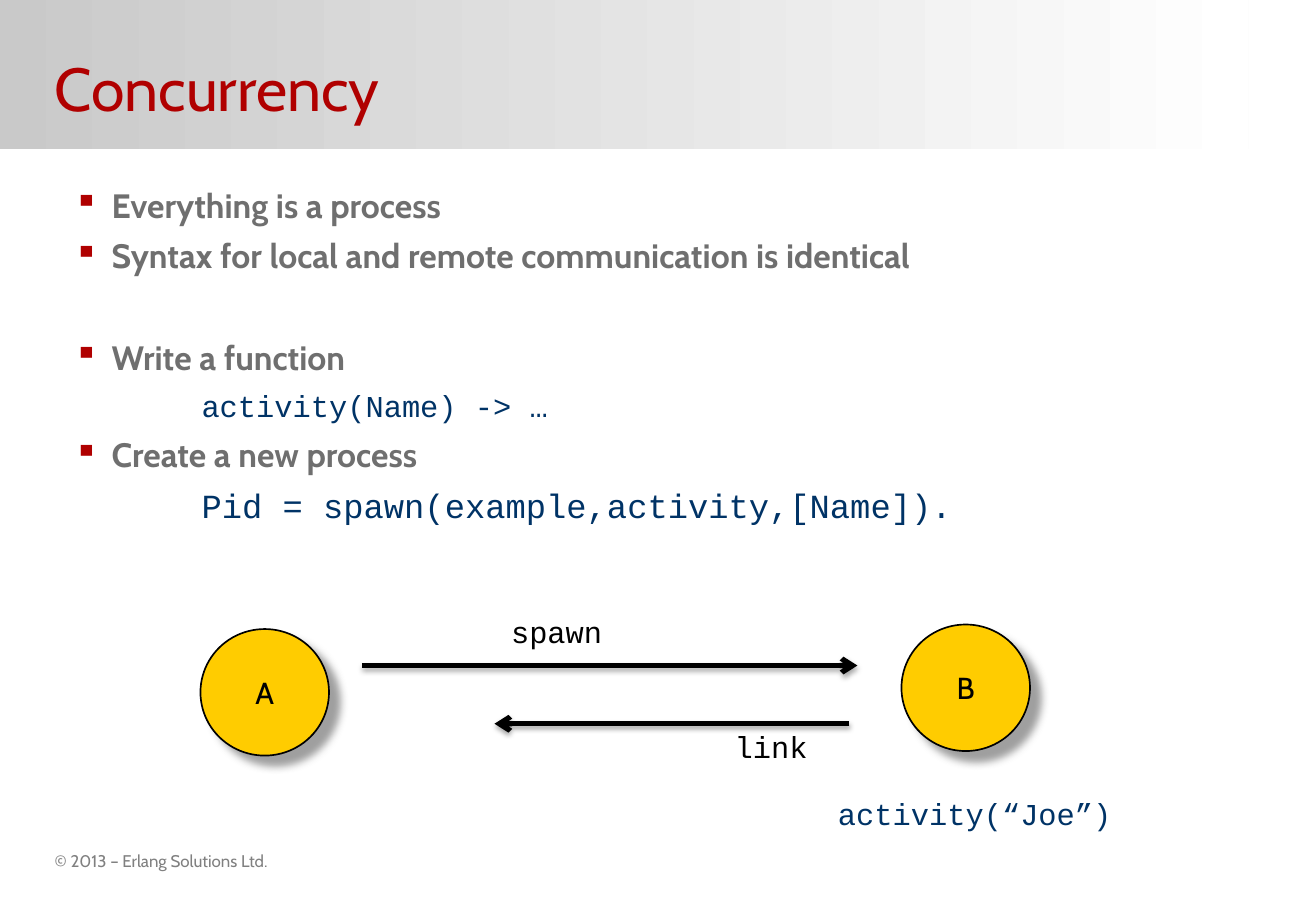
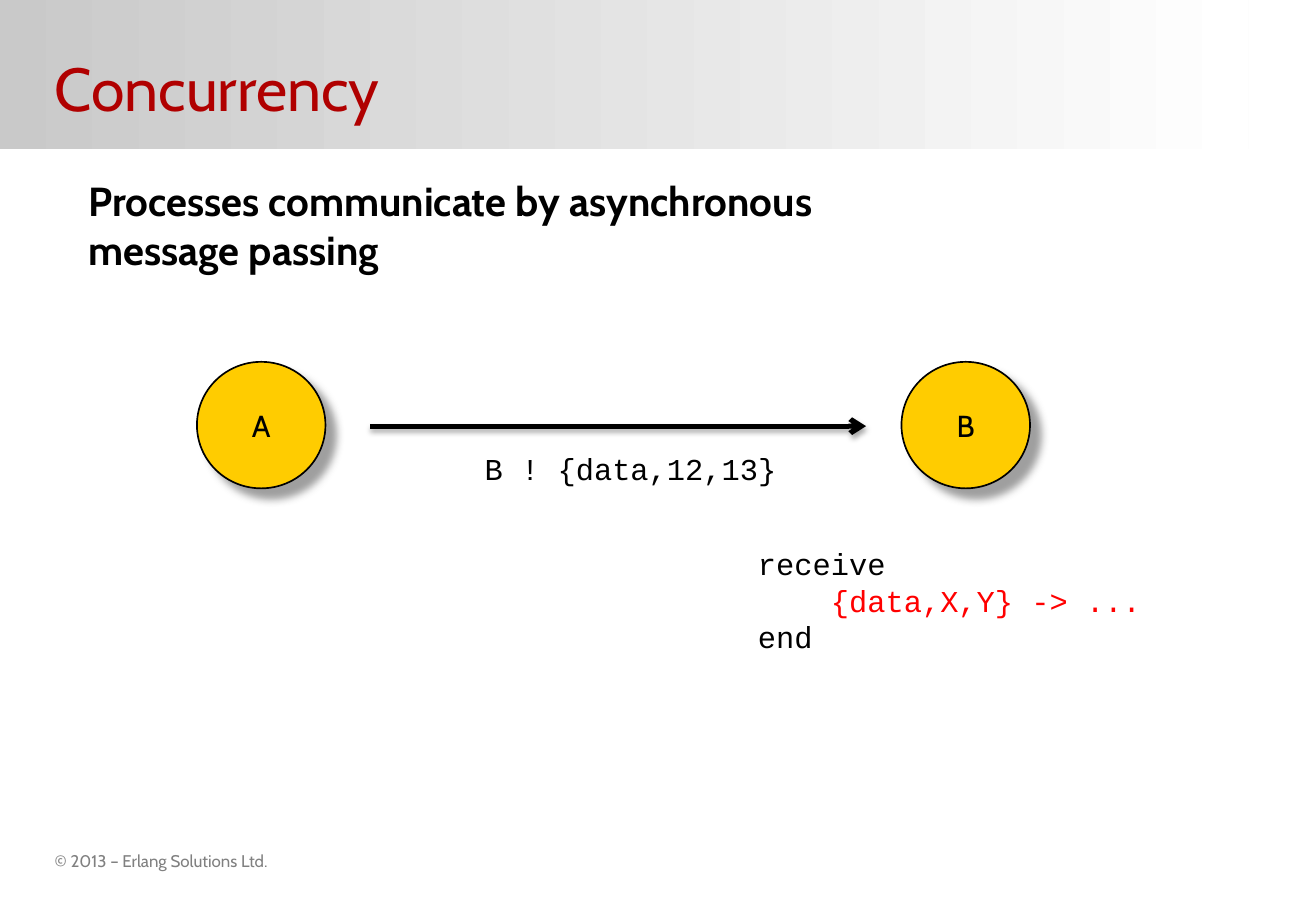
"""Build two slides on Erlang concurrency."""
from dataclasses import dataclass

from lxml.etree import SubElement
from pptx import Presentation
from pptx.dml.color import RGBColor
from pptx.enum.shapes import MSO_CONNECTOR, MSO_SHAPE
from pptx.enum.text import MSO_ANCHOR, PP_ALIGN
from pptx.oxml.ns import qn
from pptx.util import Inches, Pt

COLUMNS, ROWS = 26, 18


@dataclass(frozen=True)
class Theme:
    sans: str = "Cabin"
    mono: str = "Courier New"
    red: str = "B00000"
    alert: str = "FF0000"
    grey: str = "6F6F6F"
    footer_grey: str = "808080"
    navy: str = "003366"
    black: str = "000000"
    yellow: str = "FFCC00"
    band: tuple = ("C9C9C9", "FFFFFF")
    title_size: int = 36
    heading_size: int = 24
    body_size: int = 20
    label_size: int = 18
    footer_size: int = 10
    node_shadow: tuple = ("808080", 75, 5, 8.5, 45)
    arrow_shadow: tuple = ("000000", 35, 3.1, 1.8, 90)


class Deck:
    def __init__(self, theme):
        self.theme = theme
        self.presentation = Presentation()
        self.presentation.slide_width = Inches(10.83)
        self.presentation.slide_height = Inches(7.5)
        self.slide = None

    def x(self, columns):
        return round(self.presentation.slide_width * columns / COLUMNS)

    def y(self, rows):
        return round(self.presentation.slide_height * rows / ROWS)

    def area(self, left, top, width, height):
        return self.x(left), self.y(top), self.x(width), self.y(height)

    def new_slide(self, title):
        t = self.theme
        self.slide = self.presentation.slides.add_slide(self.presentation.slide_layouts[6])
        self.band()
        footer = self.text_frame(1.08, 16.68, 4.49, 0.65, inset=0, wrap=False)
        self.run(footer.paragraphs[0], "© 2013 – Erlang Solutions Ltd.",
                 t.footer_size, t.footer_grey)
        heading = self.text_frame(1.08, 0.5, 23.81, 2.45, inset=0)
        heading.vertical_anchor = MSO_ANCHOR.MIDDLE
        self.run(heading.paragraphs[0], title, t.title_size, t.red)

    def band(self):
        band = self.slide.shapes.add_shape(MSO_SHAPE.RECTANGLE, *self.area(0, 0, 24.67, 2.95))
        band.shadow.inherit = False
        band.line.fill.background()
        band.fill.gradient()
        band.fill.gradient_angle = 0
        for stop, position, color in zip(band.fill.gradient_stops, (0, 1), self.theme.band):
            stop.position = position
            stop.color.rgb = RGBColor.from_string(color)

    def text_frame(self, left, top, width, height, inset=0.1, wrap=True):
        frame = self.slide.shapes.add_textbox(*self.area(left, top, width, height)).text_frame
        frame.word_wrap = wrap
        frame.margin_left = frame.margin_right = Inches(inset)
        return frame

    def run(self, paragraph, text, size, color, font=None, bold=False):
        run = paragraph.add_run()
        run.text = text
        run.font.name = font or self.theme.sans
        run.font.size = Pt(size)
        run.font.bold = bold
        run.font.color.rgb = RGBColor.from_string(color)

    def lines(self, place, lines, size, font=None, bold=False, wrap=False):
        frame = self.text_frame(*place, wrap=wrap)
        for index, parts in enumerate(lines):
            paragraph = frame.add_paragraph() if index else frame.paragraphs[0]
            for text, color in parts:
                self.run(paragraph, text, size, color, font, bold)

    def code(self, place, *lines, wrap=False):
        self.lines(place, lines, self.theme.label_size, self.theme.mono, wrap=wrap)

    def bullets(self, place, items):
        t = self.theme
        frame = self.text_frame(*place, inset=0)
        for index, (text, code_size, before) in enumerate(items):
            paragraph = frame.add_paragraph() if index else frame.paragraphs[0]
            paragraph.space_before = Pt(before)
            paragraph.space_after = Pt(2)
            properties = paragraph._p.get_or_add_pPr()
            if code_size:
                properties.set("marL", str(Inches(1.05)))
                properties.set("indent", "0")
                self.run(paragraph, text, code_size, t.navy, t.mono)
            else:
                properties.set("marL", str(Inches(0.31)))
                properties.set("indent", str(-Inches(0.31)))
                SubElement(SubElement(properties, qn("a:buClr")), qn("a:srgbClr"), val=t.red)
                SubElement(properties, qn("a:buChar"), char="▪")
                self.run(paragraph, text, t.body_size, t.grey, bold=True)

    def cast_shadow(self, effects, shadow):
        color, opacity, blur, distance, angle = shadow
        outer = SubElement(effects, qn("a:outerShdw"), blurRad=str(Pt(blur)),
                           dist=str(Pt(distance)), dir=str(angle * 60000),
                           algn="ctr", rotWithShape="0")
        tint = SubElement(outer, qn("a:srgbClr"), val=color)
        SubElement(tint, qn("a:alpha"), val=str(opacity * 1000))

    def node(self, name, left, top):
        t = self.theme
        node = self.slide.shapes.add_shape(MSO_SHAPE.OVAL, *self.area(left, top, 2.54, 2.5))
        node.fill.solid()
        node.fill.fore_color.rgb = RGBColor.from_string(t.yellow)
        node.line.color.rgb = RGBColor.from_string(t.black)
        node.line.width = Pt(1)
        node.shadow.inherit = False
        self.cast_shadow(node._element.spPr.find(qn("a:effectLst")), t.node_shadow)
        node.text_frame.word_wrap = False
        node.text_frame.vertical_anchor = MSO_ANCHOR.MIDDLE
        label = node.text_frame.paragraphs[0]
        label.alignment = PP_ALIGN.CENTER
        self.run(label, name, t.label_size, t.black)

    def arrow(self, start, end, row):
        arrow = self.slide.shapes.add_connector(
            MSO_CONNECTOR.STRAIGHT, self.x(start), self.y(row), self.x(end), self.y(row))
        arrow.line.color.rgb = RGBColor.from_string(self.theme.black)
        arrow.line.width = Pt(3)
        properties = arrow._element.spPr
        SubElement(properties.find(qn("a:ln")), qn("a:tailEnd"), type="arrow")
        self.cast_shadow(SubElement(properties, qn("a:effectLst")), self.theme.arrow_shadow)


def spawning(deck):
    t = deck.theme
    deck.new_slide("Concurrency")
    deck.bullets((1.46, 3.53, 18.53, 9.74), [
        ("Everything is a process", None, 0),
        ("Syntax for local and remote communication is identical", None, 4),
        ("Write a function", None, 34),
        ("activity(Name) -> …", t.label_size, 4),
        ("Create a new process", None, 4),
        ("Pid = spawn(example,activity,[Name]).", t.body_size, 4),
    ])
    deck.node("A", 3.96, 12.43)
    deck.node("B", 17.81, 12.34)
    deck.code((16.32, 15.6, 5.93, 0.96), [("activity(“Joe”)", t.navy)])
    deck.arrow(7.15, 16.94, 13.15)
    deck.arrow(16.78, 9.77, 14.3)
    deck.code((9.86, 12, 2.3, 0.96), [("spawn", t.black)])
    deck.code((14.28, 14.26, 1.94, 0.96), [("link", t.black)])


def messaging(deck):
    t = deck.theme
    deck.new_slide("Concurrency")
    deck.lines((1.51, 3.36, 16.01, 2.18), [
        [("Processes communicate by asynchronous", t.black)],
        [("message passing", t.black)],
    ], t.heading_size, bold=True)
    deck.node("A", 3.89, 7.15)
    deck.node("B", 17.81, 7.15)
    deck.code((14.74, 10.66, 9.82, 2.42),
              [("receive", t.black)],
              [("    ", t.black), ("{data,X,Y} -> ...", t.alert)],
              [("end", t.black)], wrap=True)
    deck.arrow(7.32, 17.11, 8.42)
    deck.code((9.34, 8.78, 6.31, 0.96), [("B ! {data,12,13}", t.black)])


def main():
    deck = Deck(Theme())
    spawning(deck)
    messaging(deck)
    deck.presentation.save("out.pptx")


if __name__ == "__main__":
    main()
